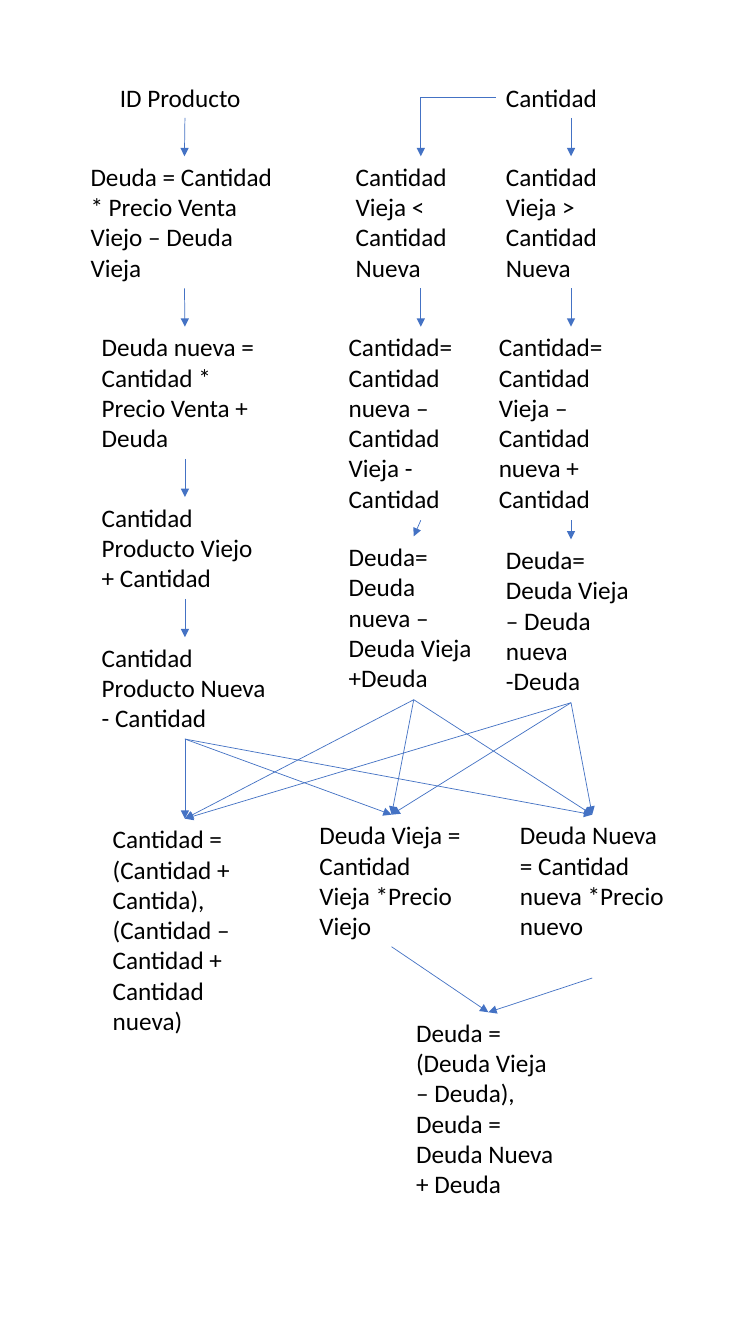
"""Build a flow diagram of how product, quantity and debt values are updated."""
from dataclasses import dataclass

from lxml import etree
from pptx import Presentation
from pptx.dml.color import RGBColor
from pptx.enum.shapes import MSO_CONNECTOR
from pptx.enum.text import MSO_AUTO_SIZE
from pptx.oxml.ns import qn
from pptx.shapes.autoshape import Shape
from pptx.shapes.connector import Connector
from pptx.shapes.shapetree import SlideShapes
from pptx.util import Inches, Pt

STRAIGHT = MSO_CONNECTOR.STRAIGHT
ELBOW = MSO_CONNECTOR.ELBOW
FIT_SHAPE = MSO_AUTO_SIZE.SHAPE_TO_FIT_TEXT
TOP, LEFT, BOTTOM = 0, 1, 2
BLANK_LAYOUT = 6


@dataclass(frozen=True)
class Theme:
    font: str = "Calibri"
    text_size: Pt = Pt(18)
    text_color: RGBColor = RGBColor(0, 0, 0)
    arrow_color: RGBColor = RGBColor(0x44, 0x72, 0xC4)
    arrow_width: Pt = Pt(0.5)


@dataclass(frozen=True)
class Step:
    key: str
    text: str
    left: float
    top: float
    width: float
    height: float


THEME = Theme()

STEPS = [
    Step("product", "ID Producto", 1.09, 0.77, 1.49, 0.4),
    Step("product_debt", "Deuda = Cantidad * Precio Venta Viejo – Deuda Vieja",
         0.8, 1.55, 2.06, 1.31),
    Step("product_new_debt", "Deuda nueva = Cantidad * Precio Venta + Deuda",
         0.91, 3.24, 1.85, 1.31),
    Step("old_product", "Cantidad Producto Viejo + Cantidad", 0.91, 4.93, 1.85, 1.01),
    Step("new_product", "Cantidad Producto Nueva - Cantidad", 0.91, 6.32, 1.85, 1.01),
    Step("quantity", "Cantidad", 4.92, 0.77, 1.49, 0.4),
    Step("less", "Cantidad Vieja < Cantidad Nueva", 3.43, 1.55, 1.49, 1.31),
    Step("less_quantity", "Cantidad= Cantidad nueva – Cantidad Vieja - Cantidad",
         3.36, 3.24, 1.63, 1.92),
    Step("less_debt", "Deuda= Deuda nueva – Deuda Vieja +Deuda", 3.36, 5.32, 1.49, 1.62),
    Step("more", "Cantidad Vieja > Cantidad Nueva", 4.92, 1.55, 1.49, 1.31),
    Step("more_quantity", "Cantidad= Cantidad Vieja – Cantidad nueva + Cantidad",
         4.85, 3.24, 1.63, 1.92),
    Step("more_debt", "Deuda= Deuda Vieja – Deuda nueva -Deuda", 4.92, 5.35, 1.49, 1.62),
    Step("total_quantity",
         "Cantidad = (Cantidad + Cantida), (Cantidad – Cantidad + Cantidad nueva)",
         1.02, 8.12, 1.63, 2.22),
    Step("old_debt", "Deuda Vieja = Cantidad Vieja *Precio Viejo", 3.07, 8.08, 1.63, 1.31),
    Step("new_debt", "Deuda Nueva = Cantidad nueva *Precio nuevo", 5.06, 8.08, 1.63, 1.62),
    Step("total_debt", "Deuda = (Deuda Vieja – Deuda), Deuda = Deuda Nueva + Deuda",
         4.03, 10.04, 1.63, 1.92),
]

CHAINS = [
    ["product", "product_debt", "product_new_debt", "old_product", "new_product"],
    ["quantity", "more", "more_quantity", "more_debt"],
    ["less", "less_quantity", "less_debt"],
    ["old_debt", "total_debt"],
    ["new_debt", "total_debt"],
]
BRANCH_ENDS = ["new_product", "less_debt", "more_debt"]
RESULTS = ["total_quantity", "old_debt", "new_debt"]


def add_step(shapes: SlideShapes, step: Step) -> Shape:
    box = shapes.add_textbox(Inches(step.left), Inches(step.top),
                             Inches(step.width), Inches(step.height))
    frame = box.text_frame
    frame.word_wrap = True
    frame.auto_size = FIT_SHAPE
    frame.text = step.text
    font = frame.paragraphs[0].font
    font.name = THEME.font
    font.size = THEME.text_size
    font.color.rgb = THEME.text_color
    return box


def add_arrow(shapes: SlideShapes, source: Shape, target: Shape,
              kind: MSO_CONNECTOR = STRAIGHT, source_side: int = BOTTOM) -> Connector:
    arrow = shapes.add_connector(kind, 0, 0, 0, 0)
    arrow.begin_connect(source, source_side)
    arrow.end_connect(target, TOP)
    arrow.line.color.rgb = THEME.arrow_color
    arrow.line.width = THEME.arrow_width
    properties = arrow.element.spPr
    etree.SubElement(properties.find(qn("a:ln")), qn("a:tailEnd"), type="triangle")
    etree.SubElement(properties, qn("a:effectLst"))
    return arrow


def main() -> None:
    deck = Presentation()
    deck.slide_width, deck.slide_height = Inches(7.5), Inches(13.33)
    shapes = deck.slides.add_slide(deck.slide_layouts[BLANK_LAYOUT]).shapes

    boxes = {step.key: add_step(shapes, step) for step in STEPS}
    for chain in CHAINS:
        for source, target in zip(chain, chain[1:]):
            add_arrow(shapes, boxes[source], boxes[target])
    for source in BRANCH_ENDS:
        for target in RESULTS:
            add_arrow(shapes, boxes[source], boxes[target])

    branch = add_arrow(shapes, boxes["quantity"], boxes["less"], ELBOW, LEFT)
    branch.element.spPr.find(qn("a:prstGeom")).set("prst", "bentConnector2")

    deck.save("out.pptx")


main()
